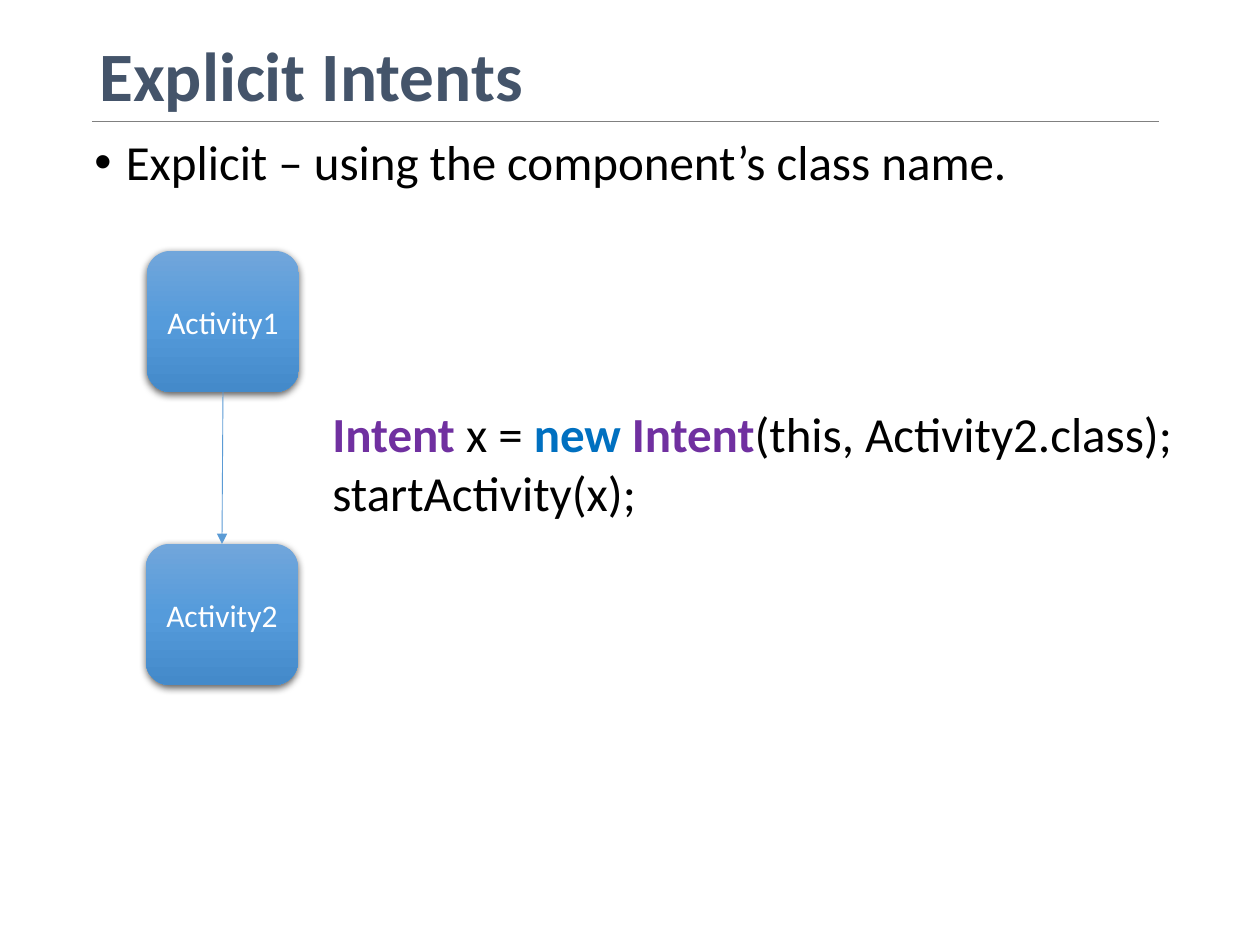
from dataclasses import dataclass

from lxml import etree
from pptx import Presentation
from pptx import util as u
from pptx.dml.color import RGBColor
from pptx.enum import shapes, text
from pptx.oxml import parse_xml
from pptx.oxml.ns import nsdecls, qn

SCALE = u.Inches(1) / 126


def px(n):
    return u.Emu(round(n * SCALE))


@dataclass(frozen=True)
class Theme:
    font: str = "Calibri"
    heading: str = "44546A"
    body: str = "000000"
    rule: str = "808080"
    arrow: str = "5B9BD5"
    type_name: str = "7030A0"
    keyword: str = "0070C0"
    on_box: str = "FFFFFF"
    shadow: str = "000000"
    box: tuple = ((0, "71A6DB"), (50, "559BDB"), (100, "448ACA"))
    title_size: float = 39.6
    body_size: int = 28
    box_size: int = 18


def add_run(p, content, *, font, size, color, bold=False):
    r = p.add_run()
    r.text = content
    r.font.name = font
    r.font.size = u.Pt(size)
    r.font.bold = bold
    r.font.color.rgb = RGBColor.from_string(color)


class SlideBuilder:
    def __init__(self, slide, theme):
        self.s = slide
        self.t = theme

    def fill_text(self, tf, lines, *, size, color=None, bold=False, align=None,
                  anchor=text.MSO_ANCHOR.TOP, wrap=True, spacing=None):
        """Fill tf; each line is a list of (text, overrides) runs."""
        tf.word_wrap = wrap
        tf.vertical_anchor = anchor
        base = dict(font=self.t.font, size=size, color=color or self.t.body, bold=bold)
        for i, line in enumerate(lines):
            p = tf.add_paragraph() if i else tf.paragraphs[0]
            p.alignment = align
            p.line_spacing = spacing
            for content, overrides in line:
                add_run(p, content, **{**base, **overrides})

    def textbox(self, x, y, w, h, lines, **fmt):
        sp = self.s.shapes.add_textbox(px(x), px(y), px(w), px(h))
        self.fill_text(sp.text_frame, lines, **fmt)
        return sp.text_frame

    def bullet(self, x, y, w, h, content):
        tf = self.textbox(x, y, w, h, [[(content, {})]],
                          size=self.t.body_size, spacing=0.9)
        p = tf.paragraphs[0]
        p.space_before = u.Pt(10)
        pPr = p._p.get_or_add_pPr()
        pPr.set("marL", str(u.Inches(0.25)))
        pPr.set("indent", str(-u.Inches(0.25)))
        etree.SubElement(pPr, qn("a:buFont"), typeface="Arial")
        etree.SubElement(pPr, qn("a:buChar"), char="•")

    def box(self, x, y, w, h, label):
        """Rounded box with a vertical gradient and a soft shadow."""
        sp = self.s.shapes.add_shape(shapes.MSO_SHAPE.ROUNDED_RECTANGLE,
                                     px(x), px(y), px(w), px(h))
        sp.line.fill.background()
        stops = "".join(f'<a:gs pos="{pos * 1000}"><a:srgbClr val="{c}"/></a:gs>'
                        for pos, c in self.t.box)
        spPr = sp._element.spPr
        spPr.find(qn("a:ln")).addprevious(parse_xml(
            f'<a:gradFill {nsdecls("a")} rotWithShape="1"><a:gsLst>{stops}</a:gsLst>'
            '<a:lin ang="5400000" scaled="0"/></a:gradFill>'))
        sp.shadow.inherit = False
        spPr.find(qn("a:effectLst")).append(parse_xml(
            f'<a:outerShdw {nsdecls("a")} blurRad="{u.Pt(4.5)}" dist="{u.Pt(1.5)}" '
            f'dir="5400000" algn="ctr" rotWithShape="0"><a:srgbClr val="{self.t.shadow}">'
            '<a:alpha val="63000"/></a:srgbClr></a:outerShdw>'))
        self.fill_text(sp.text_frame, [[(label, {})]], size=self.t.box_size,
                       color=self.t.on_box, align=text.PP_ALIGN.CENTER,
                       anchor=text.MSO_ANCHOR.MIDDLE)
        return sp

    def line(self, x1, y1, x2, y2, color):
        c = self.s.shapes.add_connector(shapes.MSO_CONNECTOR.STRAIGHT,
                                        px(x1), px(y1), px(x2), px(y2))
        c.line.width = u.Pt(0.5)
        c.line.color.rgb = RGBColor.from_string(color)
        etree.SubElement(c._element.spPr, qn("a:effectLst"))
        return c

    def arrow_down(self, upper, lower):
        c = self.line(0, 0, 0, 0, self.t.arrow)
        c.begin_connect(upper, 2)
        c.end_connect(lower, 0)
        etree.SubElement(c.line._get_or_add_ln(), qn("a:tailEnd"), type="triangle")


def main():
    prs = Presentation()
    prs.slide_width, prs.slide_height = px(1260), px(945)
    t = Theme()
    b = SlideBuilder(prs.slides.add_slide(prs.slide_layouts[6]), t)

    b.bullet(82, 132, 1074, 716, "Explicit – using the component’s class name.")
    b.textbox(87, 50, 1086, 59, [[("Explicit Intents", {})]], size=t.title_size,
              color=t.heading, bold=True, anchor=text.MSO_ANCHOR.MIDDLE, spacing=0.9)
    b.line(92, 121, 1159, 121, t.rule)

    caller = b.box(147, 251, 152, 141, "Activity1")
    target = b.box(146, 544, 152, 141, "Activity2")
    b.arrow_down(caller, target)

    type_name = dict(color=t.type_name, bold=True)
    keyword = dict(color=t.keyword, bold=True)
    code = b.textbox(320, 397, 876, 131, [
        [("Intent ", type_name), ("x = ", {}), ("new ", keyword),
         ("Intent", type_name), ("(this, Activity2.class);", {})],
        [("startActivity(x);", {})],
    ], size=t.body_size, wrap=False)
    code.auto_size = text.MSO_AUTO_SIZE.SHAPE_TO_FIT_TEXT

    prs.save("out.pptx")


if __name__ == "__main__":
    main()
